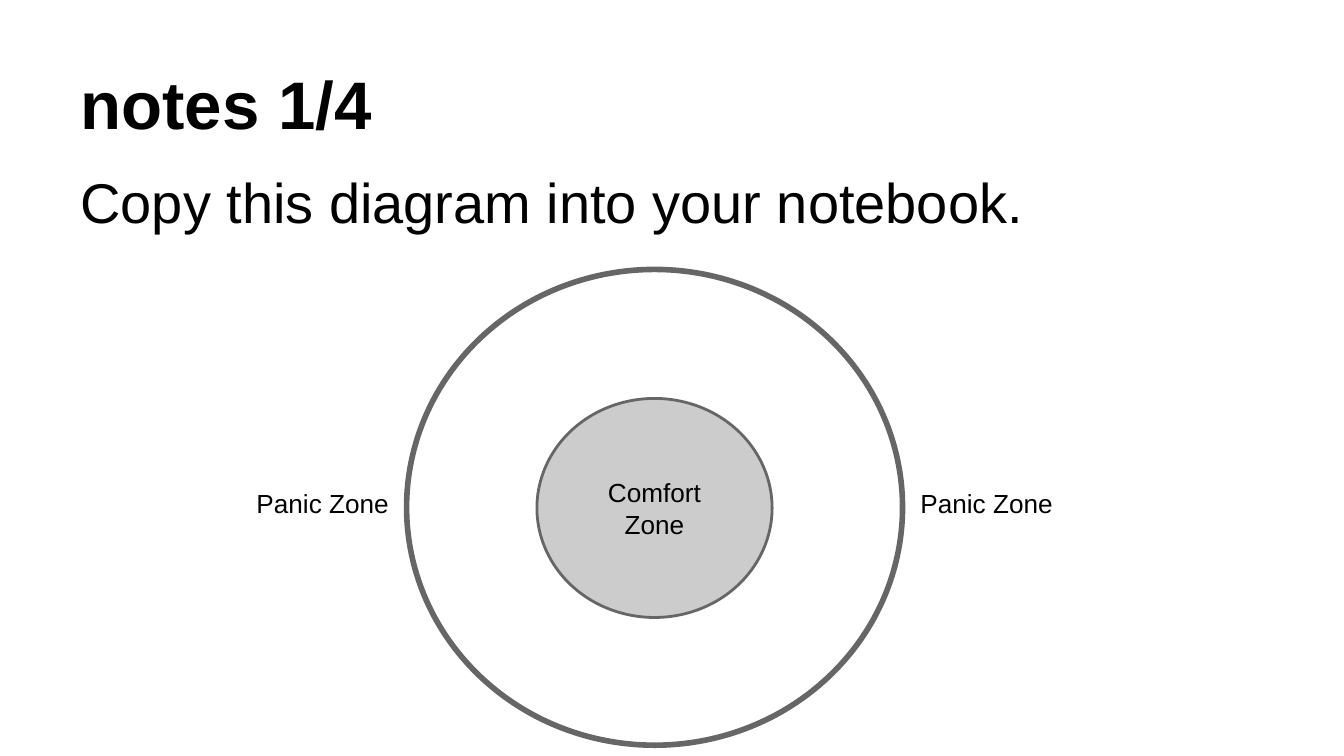
import pptx
import pptx.util
import pptx.dml.color
import pptx.enum.shapes
import pptx.enum.text

PX = 4572  # 200 px to the inch
ANCHOR = pptx.enum.text.MSO_ANCHOR
ALIGN = pptx.enum.text.PP_ALIGN
OVAL = pptx.enum.shapes.MSO_SHAPE.OVAL


def color(code):
    return pptx.dml.color.RGBColor.from_string(code)


def write(shape, text, size=14, bold=False, align=ALIGN.LEFT, anchor=ANCHOR.TOP):
    frame = shape.text_frame
    frame.word_wrap = True
    frame.vertical_anchor = anchor
    frame.margin_left = frame.margin_right = 20 * PX
    frame.margin_top = frame.margin_bottom = 20 * PX
    para = frame.paragraphs[0]
    para.alignment = align
    run = para.add_run()
    run.text = text
    run.font.name = "Arial"
    run.font.size = pptx.util.Pt(size)
    run.font.bold = bold
    run.font.color.rgb = color("000000")


deck = pptx.Presentation()
deck.slide_width = 2000 * PX
deck.slide_height = 1125 * PX
slide = deck.slides.add_slide(deck.slide_layouts[6])
shapes = slide.shapes

# Heading and task
title = shapes.add_textbox(100 * PX, 45 * PX, 1800 * PX, 188 * PX)
write(title, "notes 1/4", size=36, bold=True, anchor=ANCHOR.BOTTOM)
body = shapes.add_textbox(100 * PX, 230 * PX, 1800 * PX, 814 * PX)
write(body, "Copy this diagram into your notebook.", size=30)

# Rings, from the outside in
rings = [
    (605, 401, 738, 708, None, 3, ""),
    (799, 593, 350, 326, "CCCCCC", 1.5, "Comfort Zone"),
]
for left, top, width, height, fill, line, text in rings:
    ring = shapes.add_shape(OVAL, left * PX, top * PX, width * PX, height * PX)
    ring.shadow.inherit = False
    if fill:
        ring.fill.solid()
        ring.fill.fore_color.rgb = color(fill)
    else:
        ring.fill.background()
    ring.line.color.rgb = color("666666")
    ring.line.width = pptx.util.Pt(line)
    if text:
        write(ring, text, align=ALIGN.CENTER, anchor=ANCHOR.MIDDLE)

# Labels on both sides of the outer ring
for left, width in [(362, 248), (1350, 292)]:
    label = shapes.add_textbox(left * PX, 705 * PX, width * PX, 76 * PX)
    write(label, "Panic Zone")

deck.save("out.pptx")
